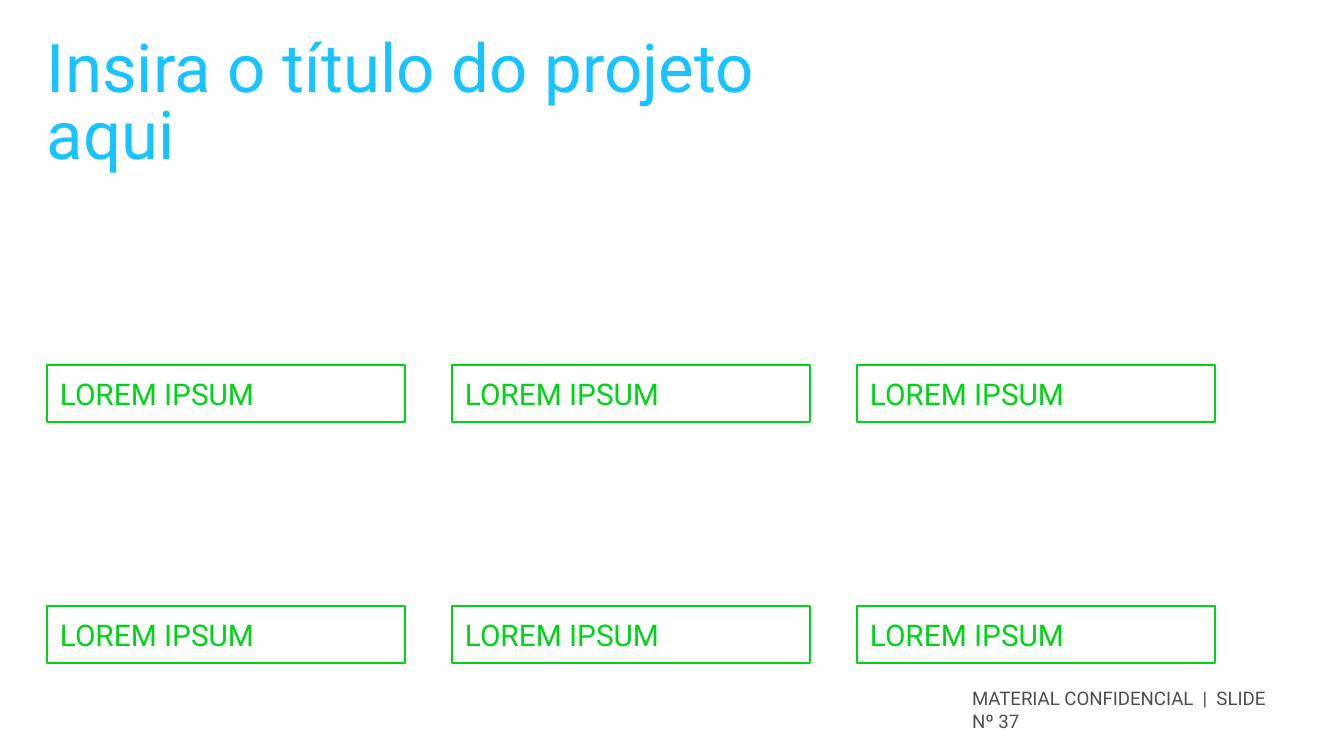
import pptx
import pptx.dml.color
import pptx.enum.shapes
import pptx.enum.text
import pptx.util

PX = 914400 / 134.4  # EMU in one px
FONT = "Roboto"
COLORS = {"title": "18C3FF", "label": "00D318", "footer": "4D4D4D"}


def px(length):
    return pptx.util.Emu(round(length * PX))


def color(name):
    return pptx.dml.color.RGBColor.from_string(COLORS[name])


def set_text(shape, text, size, color_name, anchor, side_inset=0):
    """Fill a shape with one left-aligned paragraph."""
    frame = shape.text_frame
    frame.text = text
    frame.word_wrap = True
    frame.auto_size = pptx.enum.text.MSO_AUTO_SIZE.NONE
    frame.vertical_anchor = anchor
    frame.margin_left = frame.margin_right = px(side_inset)
    frame.margin_top = frame.margin_bottom = 0
    paragraph = frame.paragraphs[0]
    paragraph.alignment = pptx.enum.text.PP_ALIGN.LEFT
    for run in paragraph.runs:
        run.font.name = FONT
        run.font.size = pptx.util.Pt(size)
        run.font.color.rgb = color(color_name)
    return paragraph


def add_title(slide, text, left, top, width, height):
    title = slide.shapes.title
    title.left, title.top = px(left), px(top)
    title.width, title.height = px(width), px(height)
    paragraph = set_text(title, text, 36, "title", pptx.enum.text.MSO_ANCHOR.TOP)
    paragraph.line_spacing = pptx.util.Pt(36)


def add_label(slide, text, left, top, width, height):
    label = slide.shapes.add_shape(
        pptx.enum.shapes.MSO_SHAPE.RECTANGLE,
        px(left), px(top), px(width), px(height))
    label.shadow.inherit = False
    label.fill.background()
    label.line.color.rgb = color("label")
    label.line.width = pptx.util.Pt(0.75)
    set_text(label, text, 16, "label", pptx.enum.text.MSO_ANCHOR.MIDDLE, 13)


def add_footer(slide, text, left, top, width, height):
    footer = slide.shapes.add_textbox(px(left), px(top), px(width), px(height))
    set_text(footer, text, 10, "footer", pptx.enum.text.MSO_ANCHOR.TOP)


def main():
    presentation = pptx.Presentation()
    presentation.slide_width, presentation.slide_height = px(1344), px(756)
    slide = presentation.slides.add_slide(presentation.slide_layouts[5])

    # Footer and title
    add_footer(slide, "MATERIAL CONFIDENCIAL  |  SLIDE Nº 37", 972, 687, 313, 40)
    add_title(slide, "Insira o título do projeto aqui", 47, 39, 762, 124)

    # Two rows of three labels
    for top in (365, 606):
        for column in range(3):
            add_label(slide, "LOREM IPSUM", 47 + column * 405, top, 358, 57)

    presentation.save("out.pptx")


if __name__ == "__main__":
    main()
